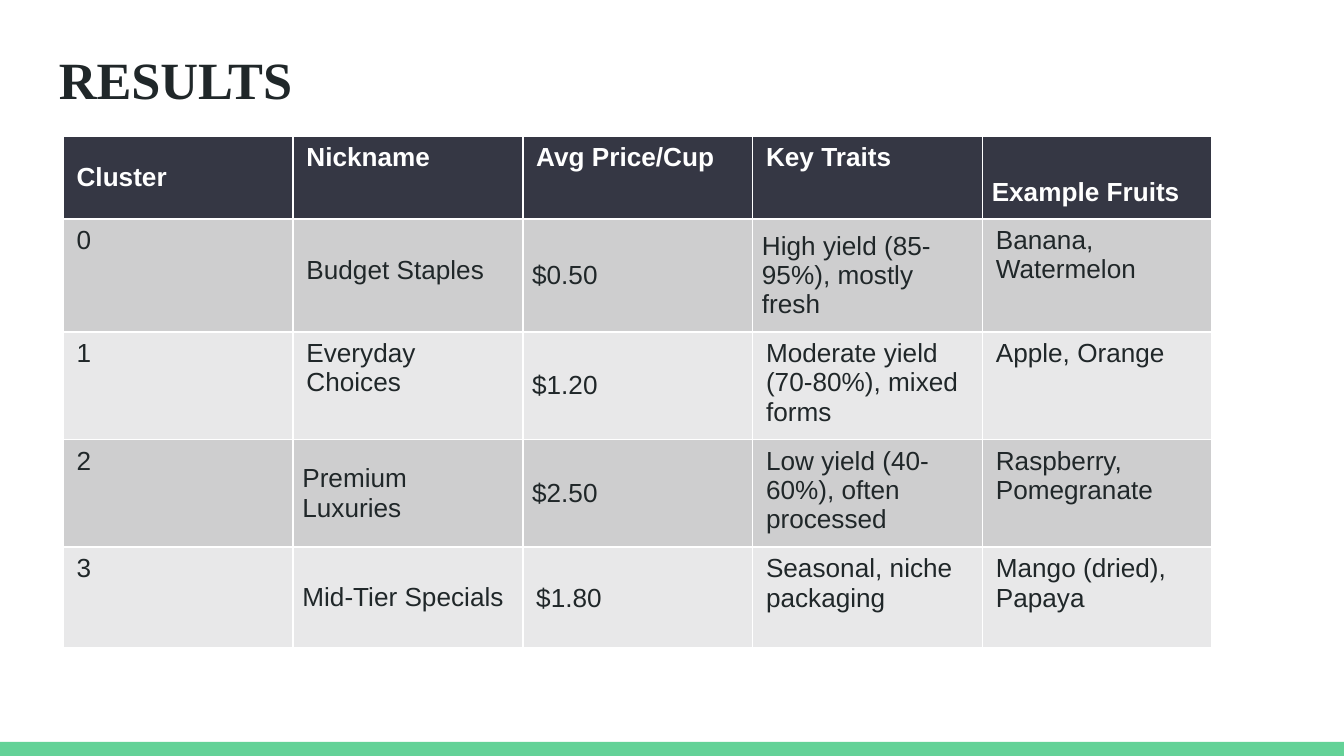
from pptx import Presentation
from pptx.dml.color import RGBColor
from pptx.enum import shapes, text
from pptx.util import Inches, Pt

DARK, WHITE, GREEN = "202729", "FFFFFF", "63D297"
HEADER_FILL, BAND_FILLS = "353744", ("CECECF", "E8E8E9")
COLUMN_WIDTH = 1.71
ROW_HEIGHTS = (0.62, 0.75, 0.75, 0.75, 0.75)
ROWS = (
    ("Cluster", "Nickname", "Avg Price/Cup", "Key Traits", "Example Fruits"),
    ("0", "Budget Staples", "$0.50", "High yield (85-95%), mostly fresh", "Banana, Watermelon"),
    ("1", "Everyday Choices", "$1.20", "Moderate yield (70-80%), mixed forms", "Apple, Orange"),
    ("2", "Premium Luxuries", "$2.50", "Low yield (40-60%), often processed", "Raspberry, Pomegranate"),
    ("3", "Mid-Tier Specials", "$1.80", "Seasonal, niche packaging", "Mango (dried), Papaya"),
)
TOP_INSETS = (0.1, 0.05, 0.1, 0.05)
LOWERED_INSETS = (0.1, 0.27, 0.1, 0.05)
MIDDLE_INSETS = (0.07, 0.07, 0.07, 0.07)
LOWERED_CELLS = {(1, 1), (4, 2)}
MIDDLE_CELLS = {(0, 0), (0, 4), (1, 2), (1, 3), (2, 2), (3, 1), (3, 2), (4, 1)}
CELL_INSETS = {key: MIDDLE_INSETS for key in MIDDLE_CELLS}
CELL_INSETS.update({key: LOWERED_INSETS for key in LOWERED_CELLS})
CELL_INSETS[0, 0] = (0.1, 0.07, 0.07, 0.07)
CELL_INSETS[0, 4] = (0.07, 0.29, 0.07, 0.07)


def color(value):
    return RGBColor.from_string(value)


def write(frame, words, size=14, font="Arial", fill=DARK, bold=False):
    span = frame.paragraphs[0].add_run()
    span.text = words
    span.font.size = Pt(size)
    span.font.name = font
    span.font.bold = bold
    span.font.color.rgb = color(fill)


def set_insets(target, insets):
    left, top, right, bottom = map(Inches, insets)
    target.margin_left, target.margin_top = left, top
    target.margin_right, target.margin_bottom = right, bottom


def add_title(page, left, top, width, height):
    box = page.shapes.add_textbox(Inches(left), Inches(top), Inches(width), Inches(height))
    frame = box.text_frame
    frame.word_wrap = True
    set_insets(frame, (0.1, 0.1, 0.1, 0.1))
    write(frame, "RESULTS", size=28, font="Times New Roman", bold=True)


def add_footer_bar(page, left, top, width, height):
    bar = page.shapes.add_shape(
        shapes.MSO_SHAPE.RECTANGLE, Inches(left), Inches(top), Inches(width), Inches(height)
    )
    bar.shadow.inherit = False
    bar.fill.solid()
    bar.fill.fore_color.rgb = color(GREEN)
    bar.line.fill.background()


def add_results_table(page, left, top):
    table = page.shapes.add_table(
        len(ROWS), len(ROWS[0]), Inches(left), Inches(top),
        Inches(COLUMN_WIDTH * len(ROWS[0])), Inches(sum(ROW_HEIGHTS)),
    ).table
    for column in table.columns:
        column.width = Inches(COLUMN_WIDTH)
    for row_index, words_in_row in enumerate(ROWS):
        table.rows[row_index].height = Inches(ROW_HEIGHTS[row_index])
        header = row_index == 0
        for column_index, words in enumerate(words_in_row):
            key = row_index, column_index
            cell = table.cell(*key)
            set_insets(cell, CELL_INSETS.get(key, TOP_INSETS))
            middle = key in MIDDLE_CELLS
            cell.vertical_anchor = text.MSO_ANCHOR.MIDDLE if middle else text.MSO_ANCHOR.TOP
            cell.fill.solid()
            cell.fill.fore_color.rgb = color(HEADER_FILL if header else BAND_FILLS[(row_index - 1) % 2])
            write(cell.text_frame, words, fill=WHITE if header else DARK, bold=header)


def main():
    deck = Presentation()
    deck.slide_width, deck.slide_height = Inches(10), Inches(5.625)
    page = deck.slides.add_slide(deck.slide_layouts[6])
    add_footer_bar(page, 0, 5.52, 10, 0.11)
    add_title(page, 0.34, 0.25, 9.32, 0.63)
    add_results_table(page, 0.47, 1.01)
    deck.save("out.pptx")


if __name__ == "__main__":
    main()
